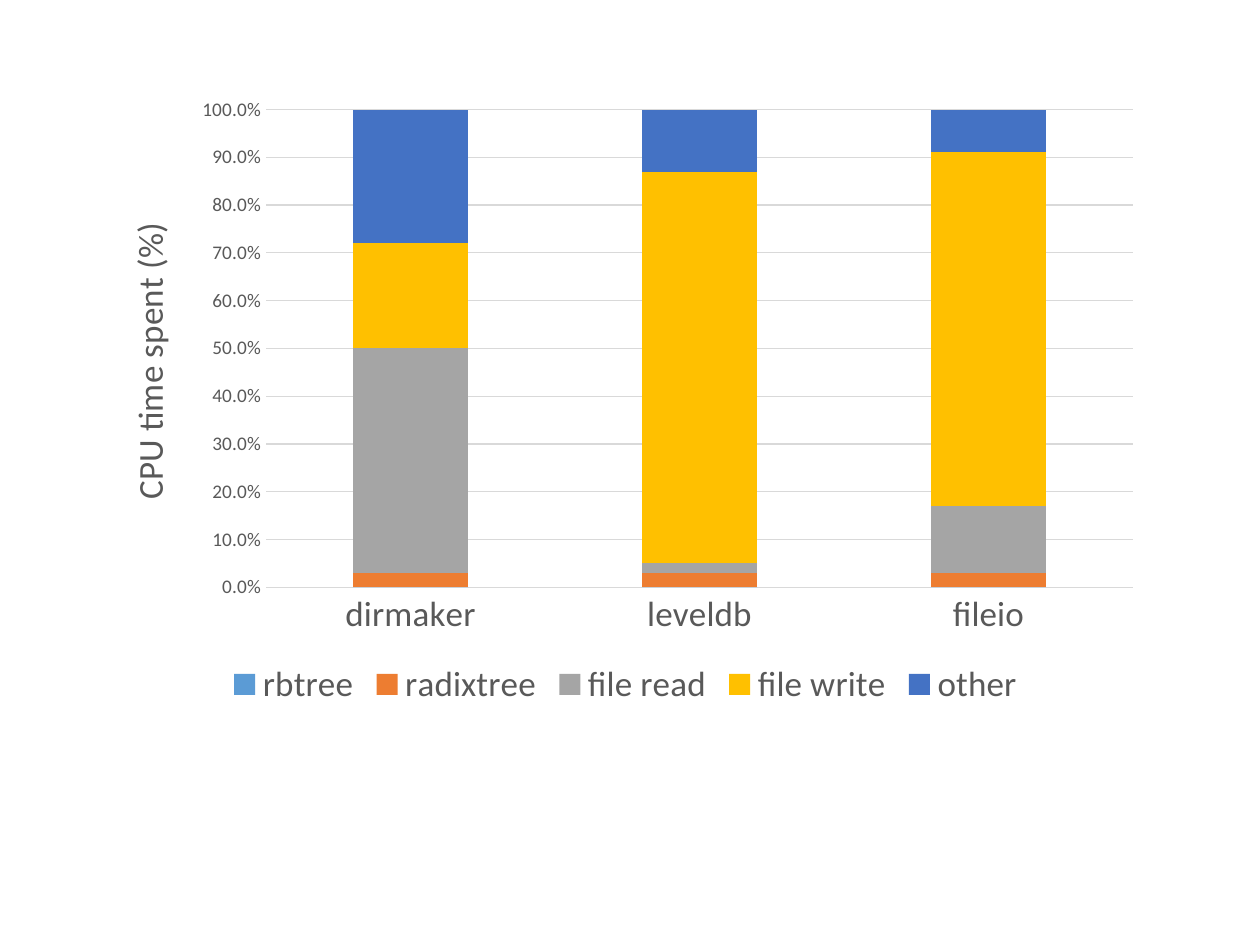
from pptx import Presentation
from pptx.chart.data import CategoryChartData
from pptx.dml.color import RGBColor
from pptx.enum.chart import XL_CHART_TYPE, XL_LEGEND_POSITION, XL_TICK_MARK
from pptx.oxml import parse_xml
from pptx.oxml.ns import nsdecls, qn
from pptx.util import Inches, Pt

STACKED = XL_CHART_TYPE.COLUMN_STACKED
BOTTOM = XL_LEGEND_POSITION.BOTTOM
NO_TICK = XL_TICK_MARK.NONE
FONT = "Calibri"
COLORS = {
    "text": "595959",
    "grid": "D9D9D9",
    "rbtree": "5B9BD5",
    "radixtree": "ED7D31",
    "file read": "A5A5A5",
    "file write": "FFC000",
    "other": "4472C4",
}
WORKLOADS = ["dirmaker", "leveldb", "fileio"]
CPU_SHARES = {
    "rbtree": [0, 0, 0],
    "radixtree": [0.03, 0.03, 0.03],
    "file read": [0.47, 0.02, 0.14],
    "file write": [0.22, 0.82, 0.74],
    "other": [0.29, 0.13, 0.09],
}


def color(name):
    """Return the named palette colour."""
    return RGBColor.from_string(COLORS[name])


def style_font(font, size):
    """Apply the chart's typeface and text colour at a given size."""
    font.name = FONT
    font.size = Pt(size)
    font.bold = False
    font.color.rgb = color("text")


def style_line(line):
    """Apply the thin light rule used by the axis and gridlines."""
    line.color.rgb = color("grid")
    line.width = Pt(0.75)


def set_layout(parent, index, target="", **shares):
    """Place a chart part at shares of the chart's size."""
    for layout in parent.findall(qn("c:layout")):
        parent.remove(layout)
    modes = "".join(f'<c:{axis}Mode val="edge"/>' for axis in "xy")
    sizes = "".join(f'<c:{key} val="{share}"/>' for key, share in shares.items())
    parent.insert(index, parse_xml(
        f'<c:layout {nsdecls("c")}><c:manualLayout>{target}{modes}{sizes}'
        "</c:manualLayout></c:layout>"))


def style_axes(chart):
    """Format the workload axis and the percentage axis with its title."""
    category_axis, value_axis = chart.category_axis, chart.value_axis
    for axis, size in ((category_axis, 20), (value_axis, 11)):
        axis.major_tick_mark = axis.minor_tick_mark = NO_TICK
        style_font(axis.tick_labels.font, size)
    style_line(category_axis.format.line)
    value_axis.format.line.fill.background()
    style_line(value_axis.major_gridlines.format.line)
    value_axis.minimum_scale, value_axis.maximum_scale = 0, 1
    value_axis.major_unit = 0.1
    value_axis.tick_labels.number_format = "0.0%"
    value_axis.tick_labels.number_format_is_linked = False
    title = value_axis.axis_title
    run = title.text_frame.paragraphs[0].add_run()
    run.text = "CPU time spent (%)"
    style_font(run.font, 20)
    set_layout(title._element, 1, x=0.02, y=0.21)


def add_cpu_chart(slide, left, top, width, height):
    """Add the stacked CPU time chart in the given box."""
    data = CategoryChartData(number_format="0.0%")
    data.categories = WORKLOADS
    for name, shares in CPU_SHARES.items():
        data.add_series(name, shares)
    chart = slide.shapes.add_chart(STACKED, left, top, width, height, data).chart
    chart.has_title = False
    style_font(chart.font, 11)
    plot = chart.plots[0]
    plot.gap_width, plot.overlap = 150, 100
    plot.vary_by_categories = False
    for series in plot.series:
        series.format.fill.solid()
        series.format.fill.fore_color.rgb = color(series.name)
    style_axes(chart)
    chart.has_legend = True
    chart.legend.position = BOTTOM
    chart.legend.include_in_layout = False
    style_font(chart.legend.font, 20)
    plot_area = chart._chartSpace.chart.plotArea
    set_layout(plot_area, 0, '<c:layoutTarget val="inner"/>',
               x=0.16, y=0.04, w=0.82, h=0.76)


def main():
    """Build and save the presentation."""
    presentation = Presentation()
    presentation.slide_width, presentation.slide_height = Inches(10), Inches(7.5)
    slide = presentation.slides.add_slide(presentation.slide_layouts[6])
    add_cpu_chart(slide, Inches(0.77), Inches(0.67), Inches(8.39), Inches(4.99))
    presentation.save("out.pptx")


if __name__ == "__main__":
    main()
